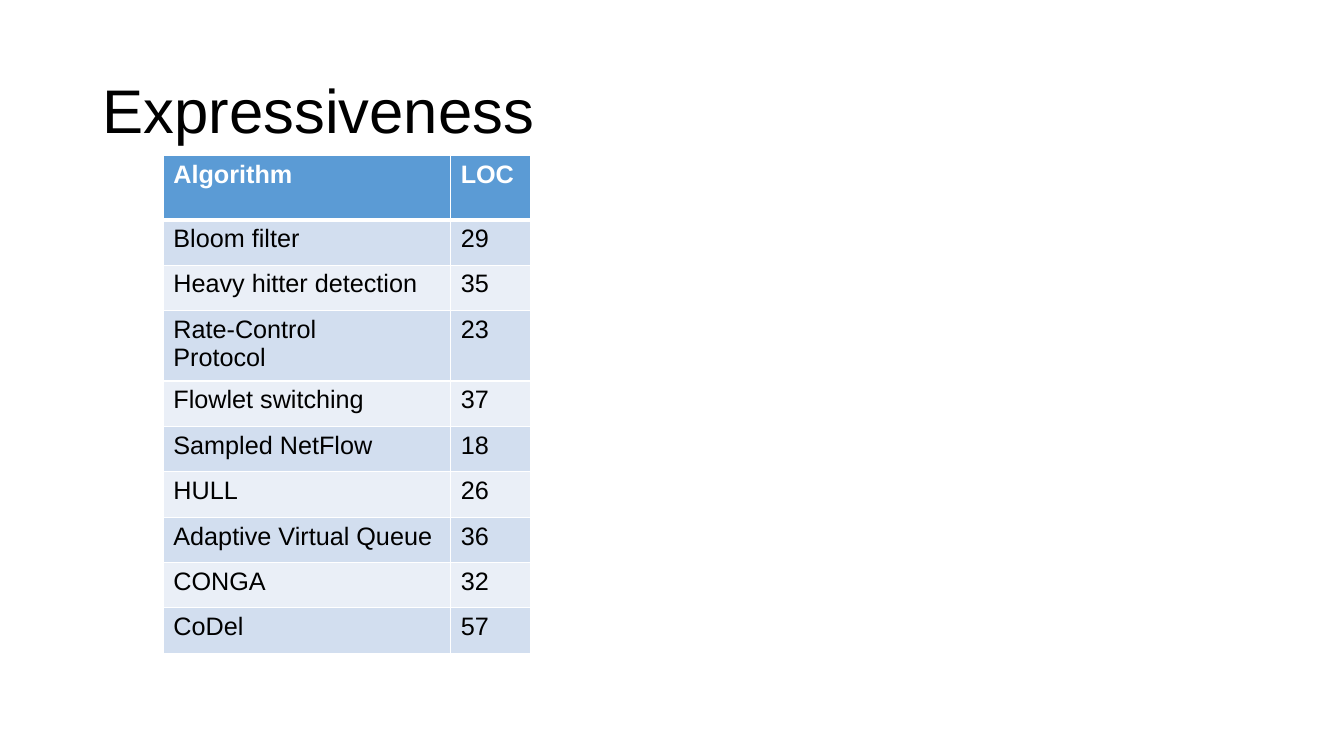
import dataclasses

import lxml.etree
import pptx
import pptx.dml.color
import pptx.enum.text
import pptx.oxml.ns
import pptx.slide
import pptx.table
import pptx.text.text
import pptx.util

FONT = "Arial"
BLACK = "000000"
WHITE = "FFFFFF"
HEADER_BLUE = "5B9BD5"
BAND_BLUES = ("D2DEEF", "EAEFF7")
COLUMN_WIDTHS = (2.85, 0.79)
HEADER_HEIGHT = 0.64
ROW_HEIGHT = 0.45
GRID_WIDTH = 1
HEADER_RULE_WIDTH = 3


@dataclasses.dataclass(frozen=True)
class Algorithm:
    name: str
    lines_of_code: int


ALGORITHMS = (
    Algorithm("Bloom filter", 29),
    Algorithm("Heavy hitter detection", 35),
    Algorithm("Rate-Control\nProtocol", 23),
    Algorithm("Flowlet switching", 37),
    Algorithm("Sampled NetFlow", 18),
    Algorithm("HULL", 26),
    Algorithm("Adaptive Virtual Queue", 36),
    Algorithm("CONGA", 32),
    Algorithm("CoDel", 57),
)


def color(value: str) -> pptx.dml.color.RGBColor:
    return pptx.dml.color.RGBColor.from_string(value)


def write_text(
    frame: pptx.text.text.TextFrame,
    text: str,
    *,
    size: float,
    ink: str = BLACK,
    bold: bool = False,
    line_spacing: float = 1.0,
) -> None:
    frame.text = text
    for para in frame.paragraphs:
        para.line_spacing = line_spacing
        for span in para.runs:
            span.font.name = FONT
            span.font.size = pptx.util.Pt(size)
            span.font.bold = bold
            span.font.color.rgb = color(ink)


def add_border(cell: pptx.table._Cell, side: str, width: float) -> None:
    qualified = pptx.oxml.ns.qn
    properties = cell._tc.get_or_add_tcPr()
    line = lxml.etree.SubElement(
        properties, qualified(f"a:ln{side}"), w=str(pptx.util.Pt(width))
    )
    fill = lxml.etree.SubElement(line, qualified("a:solidFill"))
    lxml.etree.SubElement(fill, qualified("a:srgbClr"), val=WHITE)


def style_cell(cell: pptx.table._Cell, row: int, text: str) -> None:
    header = row == 0
    top = HEADER_RULE_WIDTH if row == 1 else GRID_WIDTH
    bottom = HEADER_RULE_WIDTH if header else GRID_WIDTH
    for side, width in (("L", GRID_WIDTH), ("R", GRID_WIDTH), ("T", top), ("B", bottom)):
        add_border(cell, side, width)
    cell.fill.solid()
    cell.fill.fore_color.rgb = color(HEADER_BLUE if header else BAND_BLUES[(row - 1) % 2])
    write_text(
        cell.text_frame, text, size=18, ink=WHITE if header else BLACK, bold=header
    )


def add_title(page: pptx.slide.Slide, text: str) -> None:
    inches = pptx.util.Inches
    box = page.shapes.add_textbox(inches(0.92), inches(0.4), inches(11.5), inches(1.45))
    frame = box.text_frame
    frame.word_wrap = True
    frame.vertical_anchor = pptx.enum.text.MSO_ANCHOR.MIDDLE
    write_text(frame, text, size=44, line_spacing=0.9)


def add_algorithm_table(page: pptx.slide.Slide) -> None:
    inches = pptx.util.Inches
    rows = [("Algorithm", "LOC")]
    rows += [(item.name, str(item.lines_of_code)) for item in ALGORITHMS]
    table = page.shapes.add_table(
        len(rows),
        len(COLUMN_WIDTHS),
        inches(1.62),
        inches(1.54),
        inches(sum(COLUMN_WIDTHS)),
        inches(HEADER_HEIGHT + ROW_HEIGHT * len(ALGORITHMS)),
    ).table
    for column, width in zip(table.columns, COLUMN_WIDTHS):
        column.width = inches(width)
    for index, texts in enumerate(rows):
        table.rows[index].height = inches(ROW_HEIGHT if index else HEADER_HEIGHT)
        for column_index, text in enumerate(texts):
            style_cell(table.cell(index, column_index), index, text)


def main() -> None:
    deck = pptx.Presentation()
    deck.slide_width = pptx.util.Inches(13.33)
    deck.slide_height = pptx.util.Inches(7.5)
    page = deck.slides.add_slide(deck.slide_layouts[6])
    add_title(page, "Expressiveness")
    add_algorithm_table(page)
    deck.save("out.pptx")


if __name__ == "__main__":
    main()
